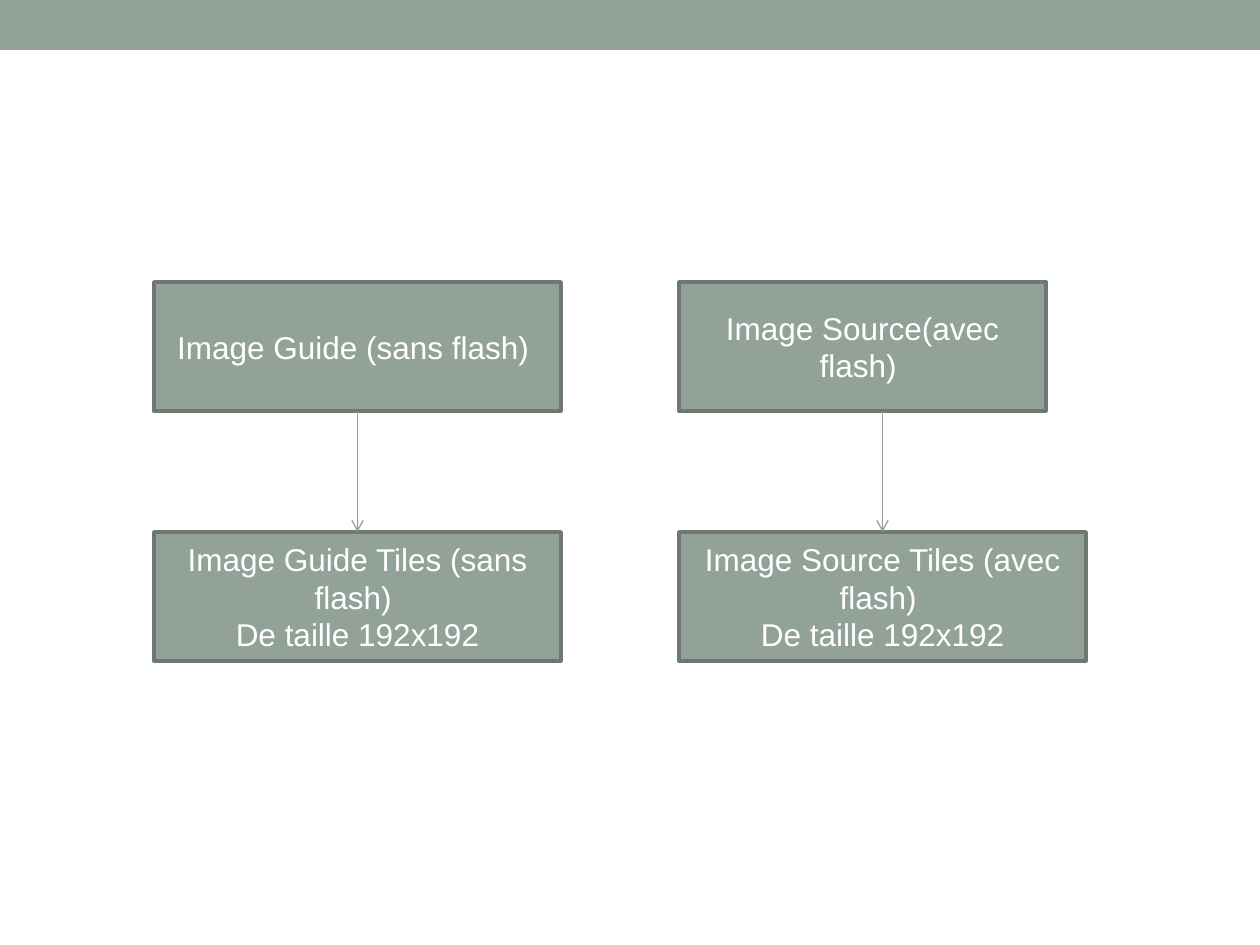
import dataclasses

import lxml.etree
import pptx
import pptx.dml.color
import pptx.enum.shapes
import pptx.enum.text
import pptx.oxml.ns
import pptx.util

PX_PER_INCH = 126


@dataclasses.dataclass(frozen=True)
class Theme:
    sage: str = "93A299"
    outline: str = "6D7871"
    label: str = "FFFFFF"
    font: str = "Arial"
    label_size: int = 18
    outline_width: float = 2.08
    arrow_width: float = 0.75


THEME = Theme()


def px(length):
    return pptx.util.Emu(round(length * pptx.util.Inches(1) / PX_PER_INCH))


def rgb(color):
    return pptx.dml.color.RGBColor.from_string(color)


def add_block(slide, left, top, width, height):
    block = slide.shapes.add_shape(
        pptx.enum.shapes.MSO_SHAPE.RECTANGLE, px(left), px(top), px(width), px(height)
    )
    block.shadow.inherit = False
    block.fill.solid()
    block.fill.fore_color.rgb = rgb(THEME.sage)
    block.line.fill.background()
    return block


def add_step(slide, left, top, width, height, lines):
    step = add_block(slide, left, top, width, height)
    step.line.color.rgb = rgb(THEME.outline)
    step.line.width = pptx.util.Pt(THEME.outline_width)
    label = step.text_frame
    label.word_wrap = True
    label.vertical_anchor = pptx.enum.text.MSO_ANCHOR.MIDDLE
    label.text = "\n".join(lines)
    for paragraph in label.paragraphs:
        paragraph.alignment = pptx.enum.text.PP_ALIGN.CENTER
        paragraph.font.name = THEME.font
        paragraph.font.size = pptx.util.Pt(THEME.label_size)
        paragraph.font.color.rgb = rgb(THEME.label)
    return step


def add_arrow(slide, image, tiles):
    center = tiles.left + tiles.width // 2
    arrow = slide.shapes.add_connector(
        pptx.enum.shapes.MSO_CONNECTOR.STRAIGHT,
        center, image.top + image.height, center, tiles.top,
    )
    if image.width == tiles.width:
        arrow.begin_connect(image, 2)
    arrow.end_connect(tiles, 0)
    arrow.line.color.rgb = rgb(THEME.sage)
    arrow.line.width = pptx.util.Pt(THEME.arrow_width)
    outline = arrow.line._get_or_add_ln()
    lxml.etree.SubElement(outline, pptx.oxml.ns.qn("a:tailEnd"), type="arrow")
    lxml.etree.SubElement(arrow._element.spPr, pptx.oxml.ns.qn("a:effectLst"))


def add_tiling_flow(slide, left, top, width, height, image_width, image_lines, tiles_lines):
    step_height = 129
    image = add_step(slide, left, top, image_width, step_height, image_lines)
    tiles_top = top + height - step_height
    tiles = add_step(slide, left, tiles_top, width, step_height, tiles_lines)
    add_arrow(slide, image, tiles)


def main():
    deck = pptx.Presentation()
    deck.slide_width, deck.slide_height = px(1260), px(945)
    slide = deck.slides.add_slide(deck.slide_layouts[6])

    add_block(slide, 0, 0, 1260, 50)
    tile_size = "De taille 192x192"
    flows = [
        (154, 407, "Image Guide (sans flash) ", "Image Guide Tiles (sans flash) "),
        (679, 367, "Image Source(avec flash) ", "Image Source Tiles (avec flash) "),
    ]
    for left, image_width, image, tiles in flows:
        add_tiling_flow(slide, left, 282, 407, 379, image_width, [image], [tiles, tile_size])

    deck.save("out.pptx")


if __name__ == "__main__":
    main()
